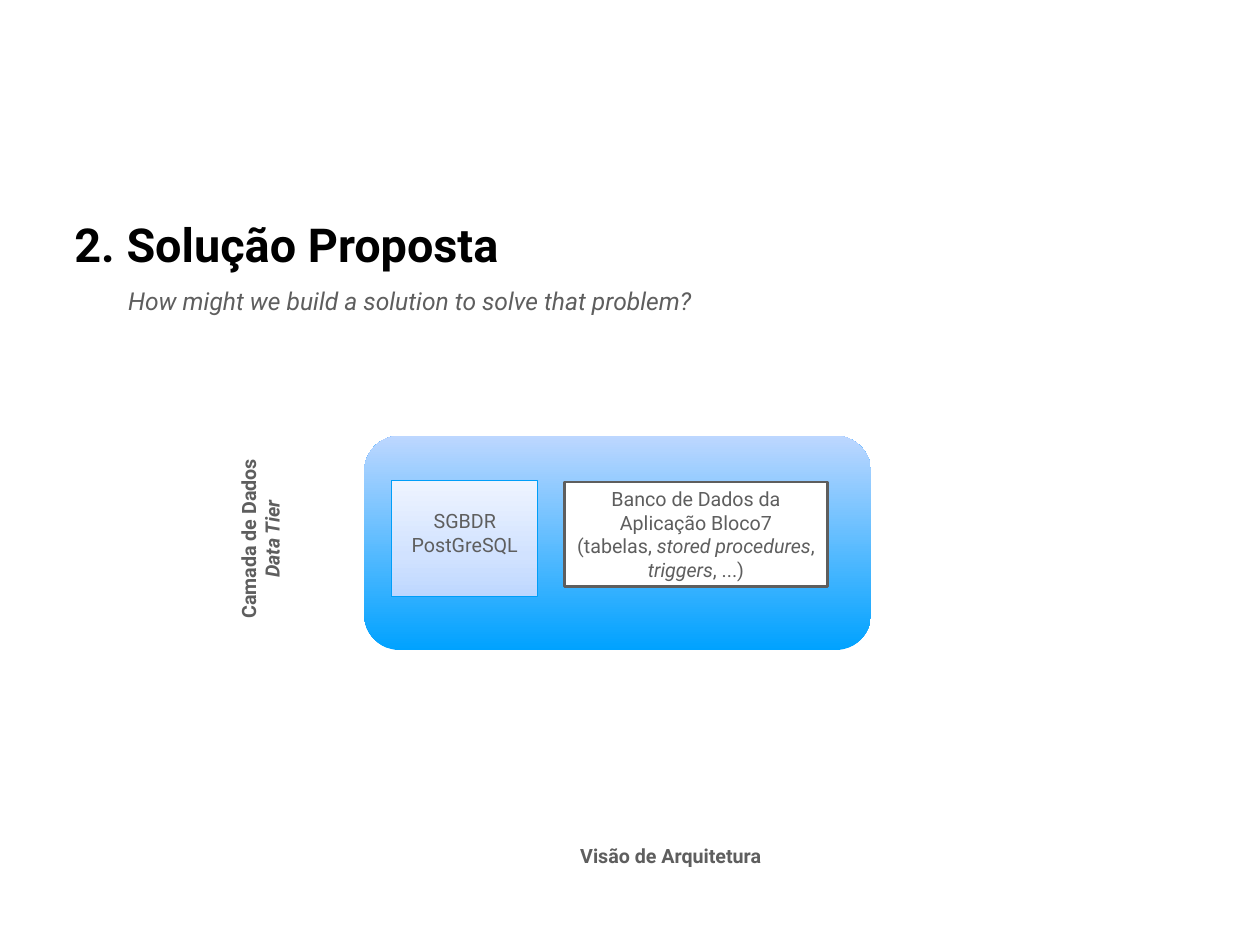
from copy import deepcopy
from dataclasses import dataclass

from pptx import Presentation
from pptx.dml.color import RGBColor
from pptx.enum import shapes, text
from pptx.oxml.ns import qn
from pptx.util import Inches, Pt

FONT = "Roboto"
BLACK = RGBColor(0x00, 0x00, 0x00)
GREY = RGBColor(0x5E, 0x5E, 0x5E)
WHITE = RGBColor(0xFF, 0xFF, 0xFF)
SKY = RGBColor(0x00, 0xA2, 0xFF)
EDGE_BLUE = RGBColor(0x00, 0x9E, 0xF9)
PALE_BLUE = RGBColor(0xBD, 0xD7, 0xFF)
PALER_BLUE = RGBColor(0xD1, 0xE2, 0xFF)
PALEST_BLUE = RGBColor(0xEE, 0xF4, 0xFF)


@dataclass
class Span:
    text: str
    italic: bool = False


@dataclass
class Label:
    left: float
    top: float
    width: float
    height: float
    lines: list[Span]
    size: int = 16
    bold: bool = True
    rotation: int = 0


@dataclass
class Block:
    shape: shapes.MSO_SHAPE
    left: float
    top: float
    width: float
    height: float
    stops: list[tuple[float, RGBColor]]
    edge: RGBColor | None = None
    edge_width: float = 0
    paragraphs: tuple[list[Span], ...] = ()
    anchor: text.MSO_ANCHOR = text.MSO_ANCHOR.MIDDLE
    margin_top: float = 0.05


LABELS = [
    Label(1.25, 3.18, 6.75, 0.44,
          [Span("How might we build a solution to solve that problem?", True)],
          size=20, bold=False),
    Label(6.37, 9.48, 2.4, 0.37, [Span("Visão de Arquitetura")]),
    Label(1.74, 5.73, 2.39, 0.71,
          [Span("Camada de Dados"), Span("Data Tier", True)], rotation=270),
]

BLOCKS = [
    Block(shapes.MSO_SHAPE.ROUNDED_RECTANGLE, 4.11, 4.92, 5.72, 2.42,
          [(0, SKY), (1, PALE_BLUE)]),
    Block(shapes.MSO_SHAPE.RECTANGLE, 4.42, 5.43, 1.65, 1.31,
          [(0, PALE_BLUE), (0.35, PALER_BLUE), (1, PALEST_BLUE)], EDGE_BLUE, 0.75,
          ([Span("SGBDR PostGreSQL")],), text.MSO_ANCHOR.TOP, 0.32),
    Block(shapes.MSO_SHAPE.RECTANGLE, 6.37, 5.44, 2.97, 1.18,
          [(0, WHITE)], GREY, 2,
          ([Span("Banco de Dados da Aplicação Bloco7")],
           [Span("(tabelas, "), Span("stored procedures", True), Span(","),
            Span(" triggers", True), Span(", ...)")])),
]


def style_font(font, size: int, color: RGBColor, bold: bool = False) -> None:
    font.name, font.size, font.bold = FONT, Pt(size), bold
    font.color.rgb = color


def write_paragraphs(frame, paragraphs, size: int, bold: bool) -> None:
    for index, spans in enumerate(paragraphs):
        para = frame.add_paragraph() if index else frame.paragraphs[0]
        para.alignment = text.PP_ALIGN.CENTER
        style_font(para.font, size, GREY, bold)
        for item in spans:
            span = para.add_run()
            span.text = item.text
            if item.italic:
                span.font.italic = True


def paint(fill, stops: list[tuple[float, RGBColor]]) -> None:
    """Fill with one solid colour, or with a gradient rising from the bottom."""
    if len(stops) == 1:
        fill.solid()
        fill.fore_color.rgb = stops[0][1]
        return
    fill.gradient()
    fill.gradient_angle = 90
    stop_list = fill._fill._gradFill.find(qn("a:gsLst"))
    while len(stop_list) < len(stops):
        stop_list.append(deepcopy(stop_list[-1]))
    for stop, (position, color) in zip(fill.gradient_stops, stops):
        stop.position = position
        stop.color.rgb = color


def add_title(page) -> None:
    title = page.shapes.title
    title.left, title.top = Inches(0.74), Inches(2.42)
    title.width, title.height = Inches(12.69), Inches(0.75)
    frame = title.text_frame
    frame.text = "2. Solução Proposta"
    frame.vertical_anchor = text.MSO_ANCHOR.MIDDLE
    frame.auto_size = text.MSO_AUTO_SIZE.NONE
    para = frame.paragraphs[0]
    para.alignment = text.PP_ALIGN.LEFT
    para.line_spacing = 0.9
    style_font(para.font, 38, BLACK, True)


def add_label(page, label: Label) -> None:
    box = page.shapes.add_textbox(Inches(label.left), Inches(label.top),
                                  Inches(label.width), Inches(label.height))
    box.rotation = label.rotation
    frame = box.text_frame
    frame.word_wrap = False
    frame.auto_size = text.MSO_AUTO_SIZE.SHAPE_TO_FIT_TEXT
    frame.vertical_anchor = text.MSO_ANCHOR.MIDDLE
    write_paragraphs(frame, [[line] for line in label.lines], label.size, label.bold)


def add_block(page, block: Block) -> None:
    box = page.shapes.add_shape(block.shape, Inches(block.left), Inches(block.top),
                                Inches(block.width), Inches(block.height))
    box.shadow.inherit = False
    paint(box.fill, block.stops)
    if block.edge is None:
        box.line.fill.background()
    else:
        box.line.color.rgb = block.edge
        box.line.width = Pt(block.edge_width)
    frame = box.text_frame
    frame.word_wrap = True
    frame.margin_left = frame.margin_right = Inches(0.05)
    frame.margin_top = Inches(block.margin_top)
    frame.vertical_anchor = block.anchor
    write_paragraphs(frame, block.paragraphs, 16, False)


def main() -> None:
    deck = Presentation()
    deck.slide_width, deck.slide_height = Inches(14.22), Inches(10.67)
    page = deck.slides.add_slide(deck.slide_layouts[5])
    add_title(page)
    for label in LABELS:
        add_label(page, label)
    for block in BLOCKS:
        add_block(page, block)
    deck.save("out.pptx")


if __name__ == "__main__":
    main()
